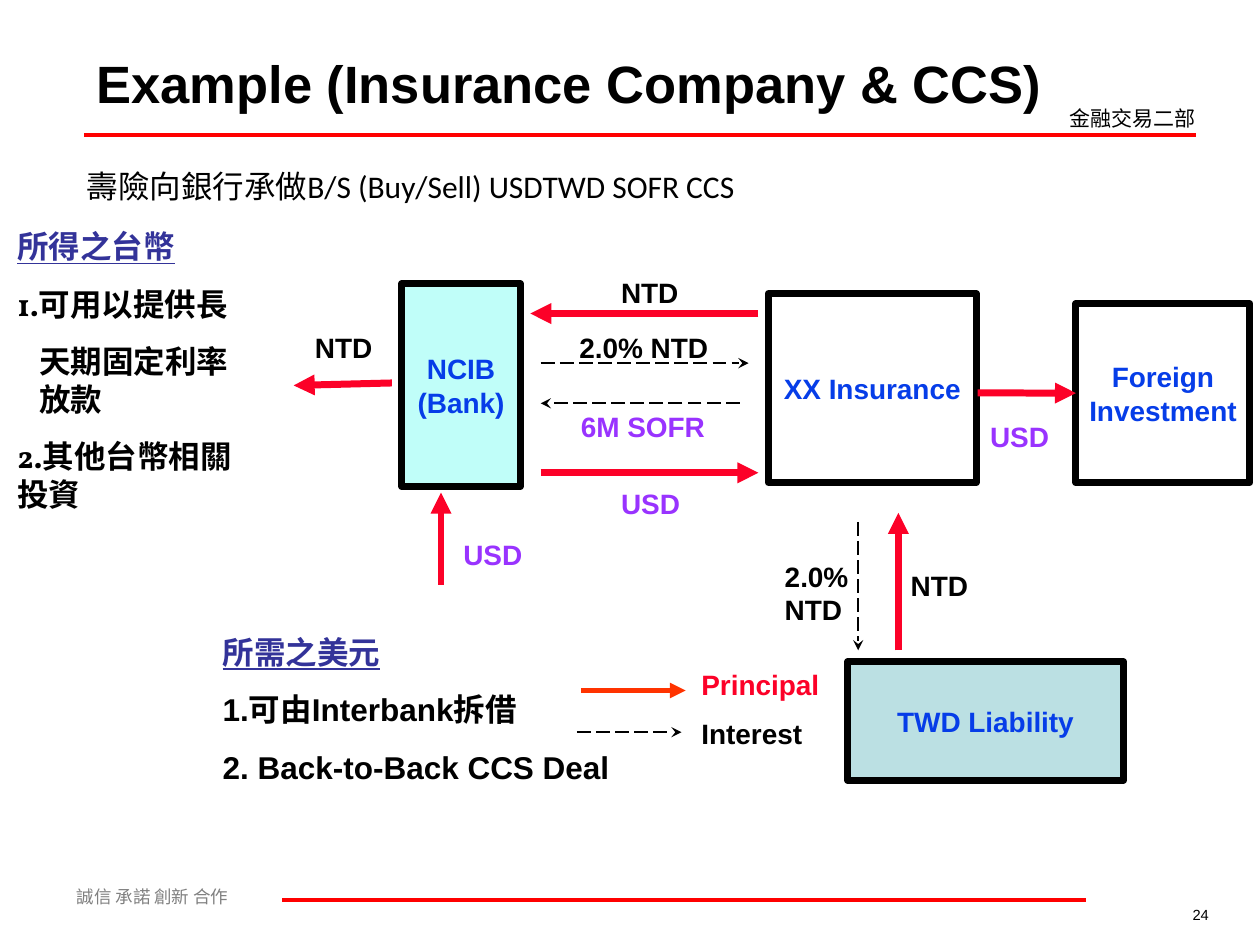
import lxml.etree
import pptx
import pptx.dml.color
import pptx.enum.dml
import pptx.enum.shapes
import pptx.enum.text
import pptx.oxml.ns
import pptx.util

Cm = pptx.util.Cm
Pt = pptx.util.Pt
RGBColor = pptx.dml.color.RGBColor
Align = pptx.enum.text.PP_ALIGN
Anchor = pptx.enum.text.MSO_ANCHOR
qn = pptx.oxml.ns.qn

BLACK = RGBColor(0x00, 0x00, 0x00)
WHITE = RGBColor(0xFF, 0xFF, 0xFF)
GRAY = RGBColor(0x80, 0x80, 0x80)
RED = RGBColor(0xFF, 0x00, 0x00)
CRIMSON = RGBColor(0xFC, 0x01, 0x28)
ORANGE = RGBColor(0xFF, 0x33, 0x00)
BLUE = RGBColor(0x06, 0x3D, 0xE8)
NAVY = RGBColor(0x33, 0x33, 0x99)
PURPLE = RGBColor(0x99, 0x33, 0xFF)
AQUA = RGBColor(0xC0, 0xFE, 0xF9)
TEAL = RGBColor(0xBB, 0xE0, 0xE3)
SANS = "Noto Sans CJK SC"


def style(para, size, color, face="Arial", bold=True):
    font = para.font
    font.name = face
    font.size = Pt(size)
    font.bold = bold
    font.color.rgb = color


def add_text(slide, area, text, size, color, face="Arial", bold=True, wrap=True):
    box = slide.shapes.add_textbox(*map(Cm, area))
    frame = box.text_frame
    frame.word_wrap = wrap
    frame.text = text
    for para in frame.paragraphs:
        style(para, size, color, face, bold)
    return frame


def add_notes(slide, area, head, lines, face):
    text = "\n".join([head, *lines])
    frame = add_text(slide, area, text, 18, BLACK, face, wrap=False)
    frame.vertical_anchor = Anchor.MIDDLE
    first, *rest = frame.paragraphs
    first.font.color.rgb = NAVY
    first.font.underline = True
    for para in rest:
        para.space_before = Pt(11.2)
    return rest


def add_box(slide, area, text, fill):
    rect = pptx.enum.shapes.MSO_SHAPE.RECTANGLE
    box = slide.shapes.add_shape(rect, *map(Cm, area))
    box.shadow.inherit = False
    box.fill.solid()
    box.fill.fore_color.rgb = fill
    box.line.color.rgb = BLACK
    box.line.width = Pt(4)
    frame = box.text_frame
    frame.word_wrap = False
    frame.vertical_anchor = Anchor.MIDDLE
    frame.text = text
    for para in frame.paragraphs:
        para.alignment = Align.CENTER
        style(para, 16, BLUE)
    return box


def add_line(slide, ends, color, width):
    kind = pptx.enum.shapes.MSO_CONNECTOR.STRAIGHT
    line = slide.shapes.add_connector(kind, *map(Cm, ends))
    line.line.color.rgb = color
    line.line.width = Pt(width)
    lxml.etree.SubElement(line._element.spPr, qn("a:effectLst"))
    return line


def add_head(line, kind):
    edge = line.line._get_or_add_ln()
    lxml.etree.SubElement(edge, qn("a:tailEnd"), type=kind)


def add_flow(slide, ends, color=CRIMSON, width=4):
    line = add_line(slide, ends, color, width)
    add_head(line, "triangle")
    return line


def add_rate(slide, ends):
    line = add_line(slide, ends, BLACK, 1)
    line.line.dash_style = pptx.enum.dml.MSO_LINE.LONG_DASH
    add_head(line, "stealth")


def add_frame(slide):
    add_text(slide, (1.3, 17.73, 6.4, 0.69), "誠信 承諾 創新 合作", 10, GRAY, SANS, False)
    add_line(slide, (1.7, 2.72, 24.1, 2.72), RED, 2.25)
    add_line(slide, (5.69, 18.14, 21.89, 18.14), RED, 2.25)
    add_text(slide, (21.31, 2.01, 3.2, 0.76), "金融交易二部", 12, BLACK, SANS, False)
    page = add_text(slide, (21.11, 18.14, 3.51, 0.61), "24", 8.4, BLACK, bold=False)
    page.paragraphs[0].alignment = Align.RIGHT
    add_text(slide, (1.7, 0.91, 19.56, 1.52), "Example (Insurance Company & CCS)",
             30, BLACK, wrap=False)
    add_text(slide, (1.5, 3.25, 17.4, 1.02),
             "壽險向銀行承做B/S (Buy/Sell) USDTWD SOFR CCS", 18, BLACK, "Calibri", False)


def add_chart(slide):
    add_box(slide, (8.1, 5.72, 2.39, 4.09), "NCIB\n(Bank)", AQUA)
    add_box(slide, (15.49, 5.92, 4.19, 3.81), "XX Insurance", WHITE)
    add_box(slide, (17.09, 13.34, 5.56, 2.39), "TWD Liability", TEAL)
    abroad = add_box(slide, (21.69, 6.12, 3.51, 3.61), "Foreign\nInvestment", WHITE)

    for ends in (
        (18.11, 13.11, 18.11, 10.34),
        (15.29, 6.32, 10.69, 6.32),
        (10.9, 9.53, 15.29, 9.53),
        (7.9, 7.72, 5.92, 7.77),
        (8.89, 11.79, 8.89, 9.93),
    ):
        add_flow(slide, ends)
    add_flow(slide, (19.71, 7.92, 21.69, 7.92)).end_connect(abroad, 1)
    add_flow(slide, (11.71, 13.92, 13.82, 13.92), ORANGE, 3)

    for ends in (
        (17.3, 10.52, 17.3, 13.11),
        (10.9, 7.32, 15.09, 7.32),
        (14.91, 8.13, 10.9, 8.13),
        (11.63, 14.76, 13.74, 14.76),
    ):
        add_rate(slide, ends)

    for left, top, width, text, color in (
        (12.27, 5.44, 2.1, "NTD", BLACK),
        (6.1, 6.53, 2.1, "NTD", BLACK),
        (18.11, 11.33, 2.1, "NTD", BLACK),
        (12.27, 9.68, 2.1, "USD", PURPLE),
        (19.71, 8.33, 2.1, "USD", PURPLE),
        (9.09, 10.72, 2.1, "USD", PURPLE),
        (15.57, 11.15, 2.34, "2.0% NTD", BLACK),
        (11.43, 6.53, 3.81, "2.0% NTD", BLACK),
        (11.46, 8.13, 3.4, "6M SOFR", PURPLE),
        (13.89, 13.34, 4, "Principal", CRIMSON),
        (13.89, 14.33, 3.2, "Interest", BLACK),
    ):
        add_text(slide, (left, top, width, 0.94), text, 16, color)


def main():
    deck = pptx.Presentation()
    deck.slide_width = Cm(25.4)
    deck.slide_height = Cm(19.05)
    slide = deck.slides.add_slide(deck.slide_layouts[6])
    add_frame(slide)
    add_chart(slide)
    lines = add_notes(slide, (0.1, 4.6, 5.28, 5.72), "所得之台幣",
                      ["1.可用以提供長", "天期固定利率放款", "2.其他台幣相關投資"], "Vollkorn")
    lines[1]._p.get_or_add_pPr().set("marL", str(Cm(0.44)))
    add_notes(slide, (4.24, 11.86, 9.09, 4.88), "所需之美元",
              ["1.可由Interbank拆借", "2. Back-to-Back CCS Deal"], "Arial")
    deck.save("out.pptx")


if __name__ == "__main__":
    main()
